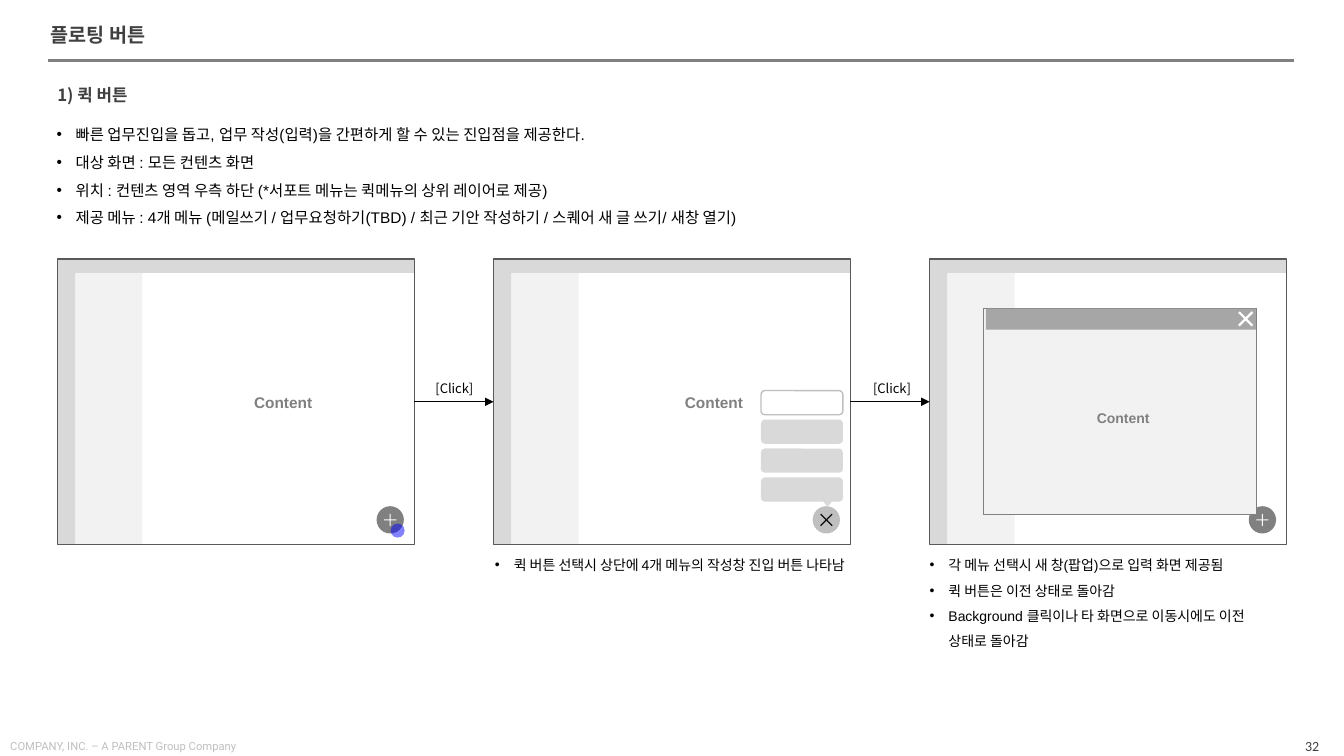
from pptx import Presentation
from pptx.dml.color import RGBColor
from pptx.enum.shapes import MSO_CONNECTOR, MSO_SHAPE as SHAPE
from pptx.enum.text import MSO_ANCHOR as ANCHOR, PP_ALIGN as ALIGN
from pptx.oxml.ns import qn
from pptx.util import Pt
from lxml.etree import SubElement

rgb = RGBColor.from_string
KOREAN = "Noto Sans CJK KR"


def write_text(text, left, top, width, height, box=None, size=11, font="Arial", color="000000",
               bold=False, align=ALIGN.LEFT, anchor=ANCHOR.TOP, inset=(0, 0), spacing=1, bullet=False):
    if box is None:
        box = slide.shapes.add_textbox(0, 0, 0, 0)
    box.left, box.top, box.width, box.height = Pt(left), Pt(top), Pt(width), Pt(height)
    frame = box.text_frame
    frame.word_wrap = True
    frame.vertical_anchor = anchor
    frame.margin_left = frame.margin_right = Pt(inset[0])
    frame.margin_top = frame.margin_bottom = Pt(inset[1])
    frame.text = text
    for paragraph in frame.paragraphs:
        paragraph.alignment = align
        paragraph.line_spacing = spacing
        if bullet:
            properties = paragraph._p.get_or_add_pPr()
            properties.set("marL", str(Pt(13.5)))
            properties.set("indent", str(Pt(-13.5)))
            SubElement(properties, qn("a:buFont")).set("typeface", "Arial")
            SubElement(properties, qn("a:buChar")).set("char", "•")
        for run in paragraph.runs:
            run.font.size = Pt(size)
            run.font.bold = bold
            run.font.name = font
            run.font.color.rgb = rgb(color)
            SubElement(run._r.get_or_add_rPr(), qn("a:ea")).set("typeface", KOREAN)


def add_block(kind, left, top, width, height, fill=None, line=None, weight=1, rotation=0):
    block = slide.shapes.add_shape(kind, Pt(left), Pt(top), Pt(width), Pt(height))
    block.shadow.inherit = False
    block.rotation = rotation
    if fill:
        block.fill.solid()
        block.fill.fore_color.rgb = rgb(fill)
    else:
        block.fill.background()
    if line:
        block.line.color.rgb = rgb(line)
        block.line.width = Pt(weight)
    else:
        block.line.fill.background()
    return block


deck = Presentation()
deck.slide_width, deck.slide_height = Pt(960), Pt(540)
slide = deck.slides.add_slide(deck.slide_layouts[5])

write_text("플로팅 버튼", 33.1, 13.7, 217.4, 23, box=slide.shapes.title, size=14, color="404040",
           bold=True, inset=(3, 3))
write_text("1) 퀵 버튼", 41, 54.7, 183, 20, size=12, font=KOREAN, color="404040", bold=True, spacing=1.4)
write_text("빠른 업무진입을 돕고, 업무 작성(입력)을 간편하게 할 수 있는 진입점을 제공한다.\n"
           "대상 화면 : 모든 컨텐츠 화면\n"
           "위치 : 컨텐츠 영역 우측 하단 (*서포트 메뉴는 퀵메뉴의 상위 레이어로 제공)\n"
           "제공 메뉴 : 4개 메뉴 (메일쓰기 / 업무요청하기(TBD) / 최근 기안 작성하기 / 스퀘어 새 글 쓰기/ 새창 열기)",
           40.5, 82.8, 697.7, 80, spacing=1.5, bullet=True)

screen_lefts = [41 + 311.5 * index for index in range(3)]
screen_top, screen_width, screen_height = 185, 255, 204
button_fills = ["808080", "BFBFBF", "808080"]
screens = []
for left, button_fill in zip(screen_lefts, button_fills):
    add_block(SHAPE.RECTANGLE, left + 12.6, screen_top, 48.2, screen_height, "F2F2F2")
    add_block(SHAPE.RECTANGLE, left, screen_top, 12.6, screen_height, "D9D9D9")
    add_block(SHAPE.RECTANGLE, left, screen_top, screen_width, 10, "D9D9D9")
    screens.append(add_block(SHAPE.RECTANGLE, left, screen_top, screen_width, screen_height, line="595959"))
    add_block(SHAPE.OVAL, left + 228, 361.6, 19.5, 19.5, button_fill)

button_icons = [("FFFFFF", 8.6, 0), ("0D0D0D", 11.6, 45), ("FFFFFF", 8.6, 0)]
for left, (color, size, rotation) in zip(screen_lefts, button_icons):
    icon = add_block(SHAPE.CROSS, left + 237.75 - size / 2, 371.4 - size / 2, size, size, color, rotation=rotation)
    icon.adjustments[0] = 0.46

click_mark = add_block(SHAPE.OVAL, 279, 374, 10, 10, "0000FF")
click_color = click_mark.fill._xPr.find(qn("a:solidFill"))[0]
SubElement(click_color, qn("a:alpha")).set("val", "49000")

for center in (202.3, 510):
    write_text("Content", center - 33, 277.2, 66, 24, color="808080", bold=True,
               align=ALIGN.CENTER, inset=(0, 3.6))

menu_styles = [("FFFFFF", "BFBFBF")] + [("D9D9D9", None)] * 3
for row, (fill, line) in enumerate(menu_styles):
    add_block(SHAPE.ROUNDED_RECTANGLE, 543.6, 279 + 20.7 * row, 58.5, 17.3, fill, line)
add_block(SHAPE.ISOSCELES_TRIANGLE, 585.4, 355, 11.5, 7, "D9D9D9", rotation=180)

add_block(SHAPE.RECTANGLE, 702.5, 220.5, 194.6, 146.7, "F2F2F2", "808080", 0.5)
add_block(SHAPE.RECTANGLE, 704.2, 220.5, 192.9, 15, "A6A6A6")
close_icon = add_block(SHAPE.CROSS, 883, 221, 13.6, 13.6, "FFFFFF", rotation=45)
close_icon.adjustments[0] = 0.44
write_text("Content", 771, 288.7, 62.6, 21.6, size=10, color="808080", bold=True,
           align=ALIGN.CENTER, inset=(0, 3.6))

for start, end in zip(screens, screens[1:]):
    arrow = slide.shapes.add_connector(MSO_CONNECTOR.STRAIGHT, 0, 0, 0, 0)
    arrow.begin_connect(start, 3)
    arrow.end_connect(end, 1)
    arrow.line.color.rgb = rgb("000000")
    arrow.line.width = Pt(0.5)
    SubElement(arrow.line._get_or_add_ln(), qn("a:tailEnd")).set("type", "triangle")
    SubElement(arrow._element.spPr, qn("a:effectLst"))
for left in (285, 597.6):
    write_text("[Click]", left, 268.6, 79.2, 18.7, size=9.3, font=KOREAN, align=ALIGN.CENTER, inset=(7.2, 3.6))

write_text("퀵 버튼 선택시 상단에 4개 메뉴의 작성창 진입 버튼 나타남",
           screen_lefts[1] + 1, 391.7, 254, 36, size=10, spacing=1.5, bullet=True)
write_text("각 메뉴 선택시 새 창(팝업)으로 입력 화면 제공됨\n"
           "퀵 버튼은 이전 상태로 돌아감\n"
           "Background 클릭이나 타 화면으로 이동시에도 이전 상태로 돌아감",
           screen_lefts[2], 391.7, 253.4, 72.7, size=10, spacing=1.5, bullet=True)

title_rule = slide.shapes.add_connector(MSO_CONNECTOR.STRAIGHT, Pt(34), Pt(43.2), Pt(924), Pt(43.2))
title_rule.line.color.rgb = rgb("808080")
title_rule.line.width = Pt(2.25)
SubElement(title_rule._element.spPr, qn("a:effectLst"))
write_text("COMPANY, INC. – A PARENT Group Company", 4.3, 524.2, 258.5, 15, size=8, font="Roboto",
           color="BFBFBF", inset=(3, 3.6), anchor=ANCHOR.TOP)
write_text("32", 894.2, 525, 51.1, 15, size=10, font="Calibri", color="404040",
           align=ALIGN.RIGHT, anchor=ANCHOR.MIDDLE, inset=(3, 3.6))

deck.save("out.pptx")
